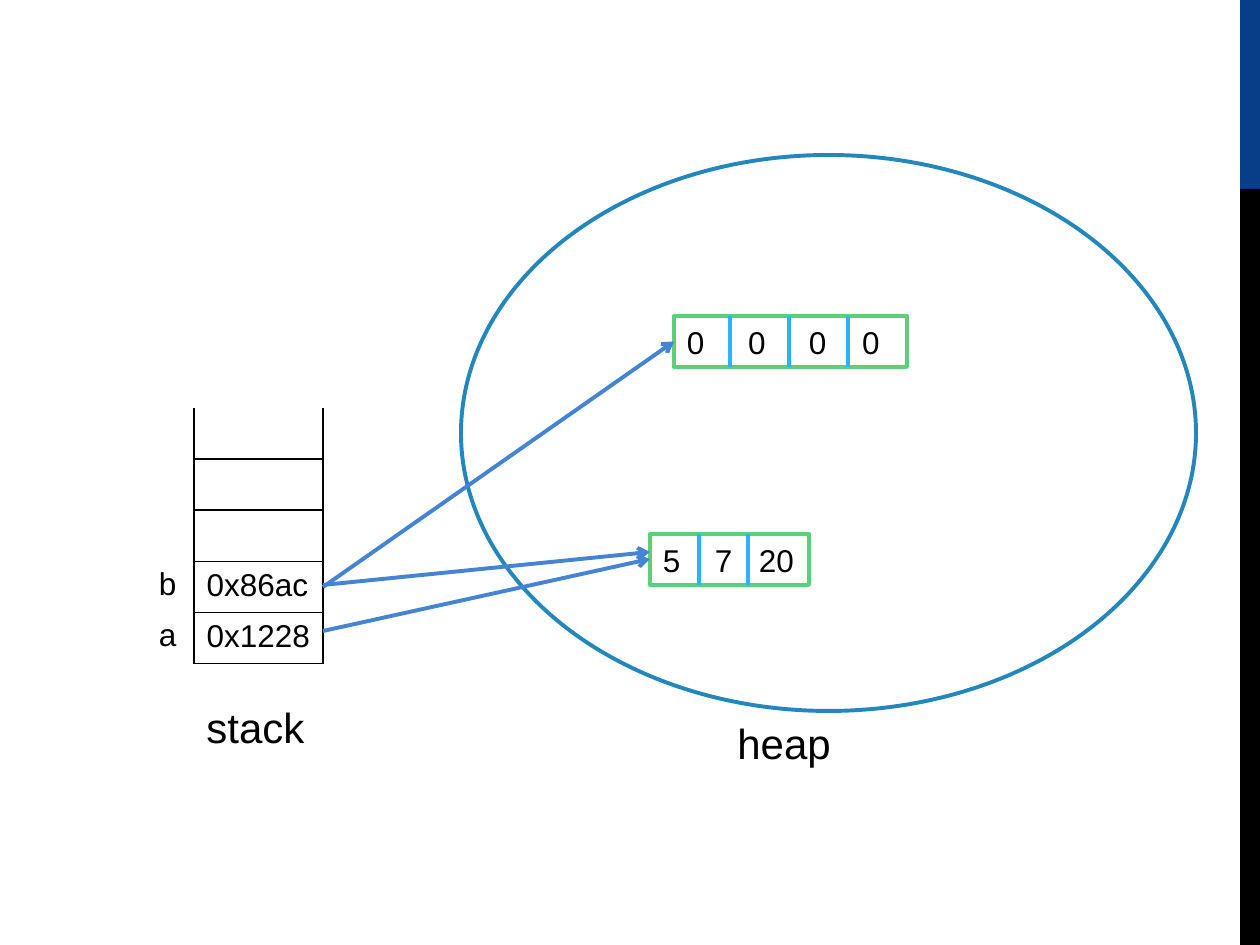
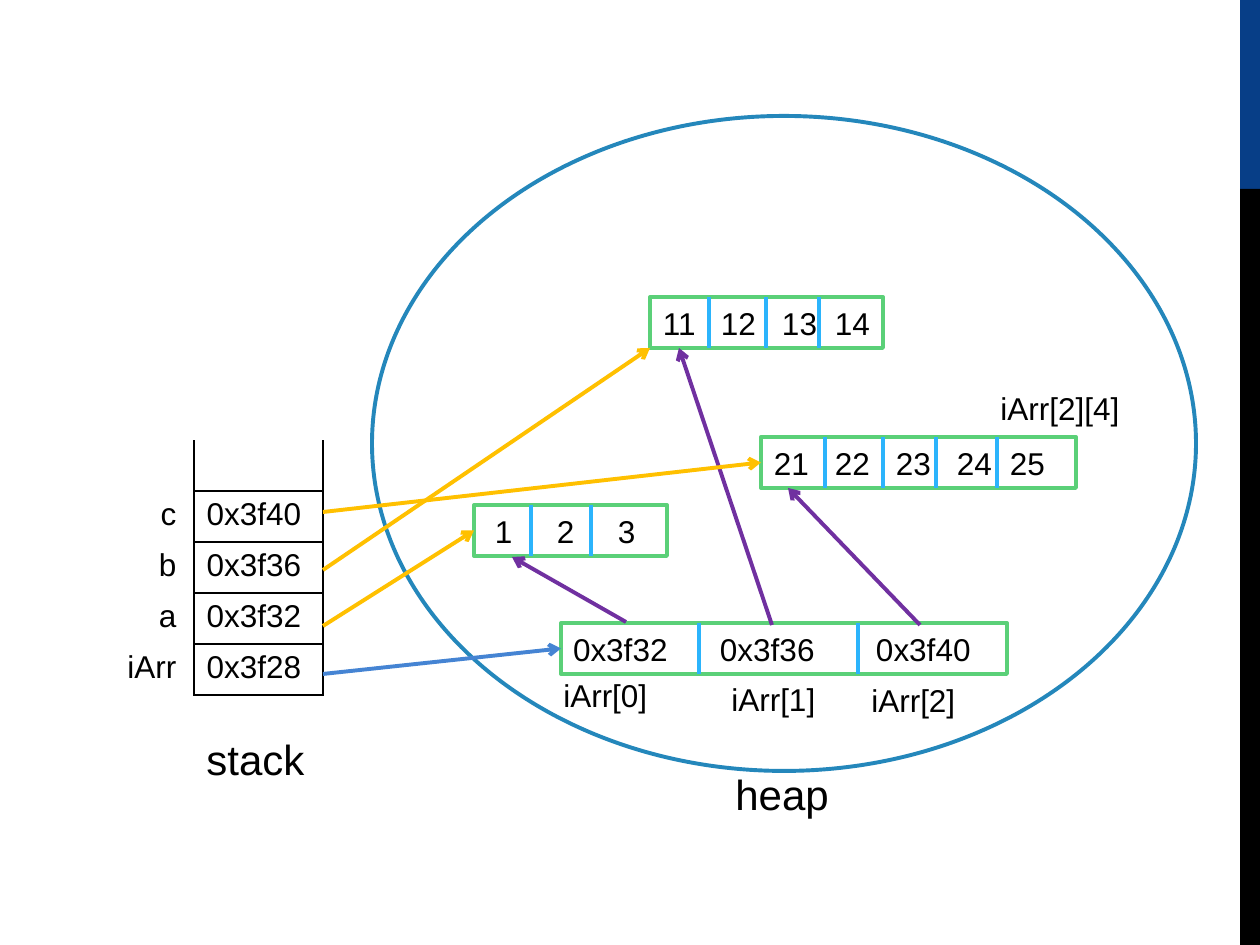
"""Build two slides showing how stack variables refer to arrays on the heap."""
from lxml import etree
from pptx import Presentation
from pptx.dml.color import RGBColor
from pptx.enum.shapes import MSO_CONNECTOR, MSO_SHAPE
from pptx.enum.text import MSO_ANCHOR, MSO_AUTO_SIZE, PP_ALIGN
from pptx.oxml.ns import qn
from pptx.util import Emu, Pt

RECTANGLE, OVAL = MSO_SHAPE.RECTANGLE, MSO_SHAPE.OVAL
STRAIGHT = MSO_CONNECTOR.STRAIGHT
LEFT, RIGHT = PP_ALIGN.LEFT, PP_ALIGN.RIGHT
MIDDLE = MSO_ANCHOR.MIDDLE
GROW = MSO_AUTO_SIZE.SHAPE_TO_FIT_TEXT
LEFT_SIDE = 1

FONT = "Arial"
COLOURS = {
    "text": "000000", "paper": "FFFFFF", "band_top": "073E87", "band_bottom": "000000",
    "heap": "2487BB", "array": "5BD078", "divider": "2BB4FC",
    "blue": "4584D3", "purple": "7030A0", "gold": "FFC000",
}
NO_TABLE_STYLE = "{2D5ABB26-0587-4C30-8999-92F81FD0307C}"
SLIDE_WIDTH, SLIDE_HEIGHT = 1260, 945
BANDS = [("band_top", 0, 189), ("band_bottom", 189, 756)]
BAND_LEFT, BAND_WIDTH = 1240, 20
ROW_HEIGHT = 51
NAMES_LEFT, NAMES_WIDTH = 54, 135
STACK_LEFT, STACK_WIDTH = 194, 129
STACK_RIGHT = STACK_LEFT + STACK_WIDTH
STACK_LABEL_DROP = 287
LABEL_WIDTH, LABEL_HEIGHT = 129, 63
SMALL, LARGE, LINE_WIDTH = 18, 24, 2.25

SLIDES = [
    {
        "stack_top": 408,
        "stack": [("", ""), ("", ""), ("", ""), ("b", "0x86ac"), ("a", "0x1228")],
        "heap": (461, 155, 735, 556),
        "heap_label": (725, 711),
        "arrays": {
            "filled": {"box": (650, 534, 159), "dividers": [699, 748],
                       "values": [("5", 663), ("7", 715), ("20", 759)]},
            "zeros": {"box": (674, 316, 233), "dividers": [730, 789, 848],
                      "values": [("0", 687), ("0", 748), ("0", 809), ("0", 862)]},
        },
        "labels": [],
        "arrows": [
            ("blue", (STACK_RIGHT, 631), (650, 559)),
            ("blue", (STACK_RIGHT, 587), "zeros"),
            ("blue", (STACK_RIGHT, 585), (650, 552)),
        ],
    },
    {
        "stack_top": 440,
        "stack": [("", ""), ("c", "0x3f40"), ("b", "0x3f36"), ("a", "0x3f32"),
                  ("iArr", "0x3f28")],
        "heap": (372, 116, 824, 655),
        "heap_label": (723, 762),
        "arrays": {
            "pointers": {"box": (561, 623, 446), "dividers": [699, 858],
                         "values": [("0x3f32", 573), ("0x3f36", 720), ("0x3f40", 876)]},
            "tens": {"box": (650, 297, 233), "dividers": [709, 766, 819],
                     "values": [("11", 663), ("12", 721), ("13", 782), ("14", 835)]},
            "units": {"box": (474, 505, 193), "dividers": [531, 591],
                      "values": [("1", 495), ("2", 557), ("3", 618)]},
            "twenties": {"box": (761, 437, 315), "dividers": [825, 883, 936, 997],
                         "values": [("21", 774), ("22", 835), ("23", 896), ("24", 957),
                                    ("25", 1010)]},
        },
        "labels": [("iArr[0]", 551, 670, 129), ("iArr[1]", 719, 674, 129),
                   ("iArr[2]", 859, 675, 129), ("iArr[2][4]", 988, 383, 147)],
        "arrows": [
            ("blue", (STACK_RIGHT, 674), "pointers"),
            ("purple", (920, 625), (788, 488)),
            ("purple", (772, 625), (679, 348)),
            ("purple", (626, 622), (512, 557)),
            ("gold", (STACK_RIGHT, 626), "units"),
            ("gold", (STACK_RIGHT, 570), (650, 348)),
            ("gold", (STACK_RIGHT, 512), "twenties"),
        ],
    },
]


def px(length):
    """Turn pixels into EMU."""
    return Emu(round(length * 914400 / 126))


def colour(name):
    """Return the named colour."""
    return RGBColor.from_string(COLOURS[name])


def format_runs(paragraph, size, alignment=LEFT):
    """Align a paragraph and set the font of its runs."""
    paragraph.alignment = alignment
    for run in paragraph.runs:
        run.font.name = FONT
        run.font.size = Pt(size)
        run.font.color.rgb = colour("text")


def add_box(slide, kind, box, fill, outline=None):
    """Add a flat preset shape."""
    shape = slide.shapes.add_shape(kind, *map(px, box))
    shape.shadow.inherit = False
    shape.fill.solid()
    shape.fill.fore_color.rgb = colour(fill)
    if outline:
        shape.line.color.rgb = colour(outline)
        shape.line.width = Pt(LINE_WIDTH)
    else:
        shape.line.fill.background()
    return shape


def add_label(slide, text, box, size):
    """Add a wrapped text label."""
    text_frame = slide.shapes.add_textbox(*map(px, box)).text_frame
    text_frame.word_wrap = True
    text_frame.auto_size = GROW
    text_frame.text = text
    format_runs(text_frame.paragraphs[0], size)


def add_line(slide, line_colour, start, end, arrow=False):
    """Add a straight line, with an arrowhead at its end if asked."""
    connector = slide.shapes.add_connector(STRAIGHT, *map(px, (*start, *end)))
    connector.line.color.rgb = colour(line_colour)
    connector.line.width = Pt(LINE_WIDTH)
    properties = connector.element.spPr
    if arrow:
        etree.SubElement(properties.find(qn("a:ln")), qn("a:tailEnd"), type="arrow")
    etree.SubElement(properties, qn("a:effectLst"))
    return connector


def add_borders(cell, sides):
    """Draw thin borders on the given sides of a cell."""
    properties = cell._tc.get_or_add_tcPr()
    for side in sides:
        line = etree.SubElement(properties, qn(f"a:ln{side}"), w=str(Pt(1)))
        fill = etree.SubElement(line, qn("a:solidFill"))
        etree.SubElement(fill, qn("a:srgbClr"), val=COLOURS["text"])


def add_column(slide, texts, left, top, width, alignment=LEFT, bordered=False):
    """Add a one-column table."""
    box = (left, top, width, ROW_HEIGHT * len(texts))
    frame = slide.shapes.add_table(len(texts), 1, *map(px, box))
    table = frame.table
    table.first_row = table.horz_banding = False
    frame.element.find(".//" + qn("a:tableStyleId")).text = NO_TABLE_STYLE
    for index, text in enumerate(texts):
        table.rows[index].height = px(ROW_HEIGHT)
        cell = table.cell(index, 0)
        if bordered:
            add_borders(cell, "LRTB" if index else "LRB")
        cell.fill.background()
        cell.text_frame.text = text
        format_runs(cell.text_frame.paragraphs[0], SMALL, alignment)


def add_array(slide, box, values, dividers):
    """Add an array whose values stand at tab stops between dividers."""
    left, top, width = box
    shape = add_box(slide, RECTANGLE, (left, top, width, ROW_HEIGHT), "paper", "array")
    first = values[0][1]
    text_frame = shape.text_frame
    text_frame.word_wrap = True
    text_frame.vertical_anchor = MIDDLE
    text_frame.margin_left = px(first - left)
    text_frame.margin_right = 0
    text_frame.text = "\t".join(text for text, _ in values)
    paragraph = text_frame.paragraphs[0]
    tabs = etree.SubElement(paragraph._p.get_or_add_pPr(), qn("a:tabLst"))
    for _, position in values[1:]:
        etree.SubElement(tabs, qn("a:tab"), pos=str(px(position - first)), algn="l")
    format_runs(paragraph, SMALL)
    for divider in dividers:
        add_line(slide, "divider", (divider, top), (divider, top + ROW_HEIGHT))
    return shape


def add_master_bands(presentation, slide):
    """Make the side bands and move them to the slide master."""
    for number, (fill, top, height) in enumerate(BANDS, start=101):
        band = add_box(slide, RECTANGLE, (BAND_LEFT, top, BAND_WIDTH, height), fill)
        band.element.nvSpPr.cNvPr.set("id", str(number))
        presentation.slide_master.shapes.element.append(band.element)


def draw_memory(slide, content):
    """Draw the stack, the heap, its arrays and the references."""
    names, addresses = zip(*content["stack"])
    top = content["stack_top"]
    add_column(slide, addresses, STACK_LEFT, top, STACK_WIDTH, bordered=True)
    add_box(slide, OVAL, content["heap"], "paper", "heap")
    label_places = [("stack", (STACK_LEFT, top + STACK_LABEL_DROP)),
                    ("heap", content["heap_label"])]
    for text, place in label_places:
        add_label(slide, text, (*place, LABEL_WIDTH, LABEL_HEIGHT), LARGE)
    add_column(slide, names, NAMES_LEFT, top, NAMES_WIDTH, RIGHT)
    arrays = {name: add_array(slide, **array) for name, array in content["arrays"].items()}
    for text, *box in content["labels"]:
        add_label(slide, text, (*box, ROW_HEIGHT), SMALL)
    for line_colour, start, target in content["arrows"]:
        if target in arrays:
            connector = add_line(slide, line_colour, start, start, arrow=True)
            connector.end_connect(arrays[target], LEFT_SIDE)
        else:
            add_line(slide, line_colour, start, target, arrow=True)


def main():
    """Build and save the presentation."""
    presentation = Presentation()
    presentation.slide_width = px(SLIDE_WIDTH)
    presentation.slide_height = px(SLIDE_HEIGHT)
    blank_layout = presentation.slide_layouts[6]
    slides = [presentation.slides.add_slide(blank_layout) for _ in SLIDES]
    add_master_bands(presentation, slides[0])
    for slide, content in zip(slides, SLIDES):
        draw_memory(slide, content)
    presentation.save("out.pptx")


if __name__ == "__main__":
    main()
